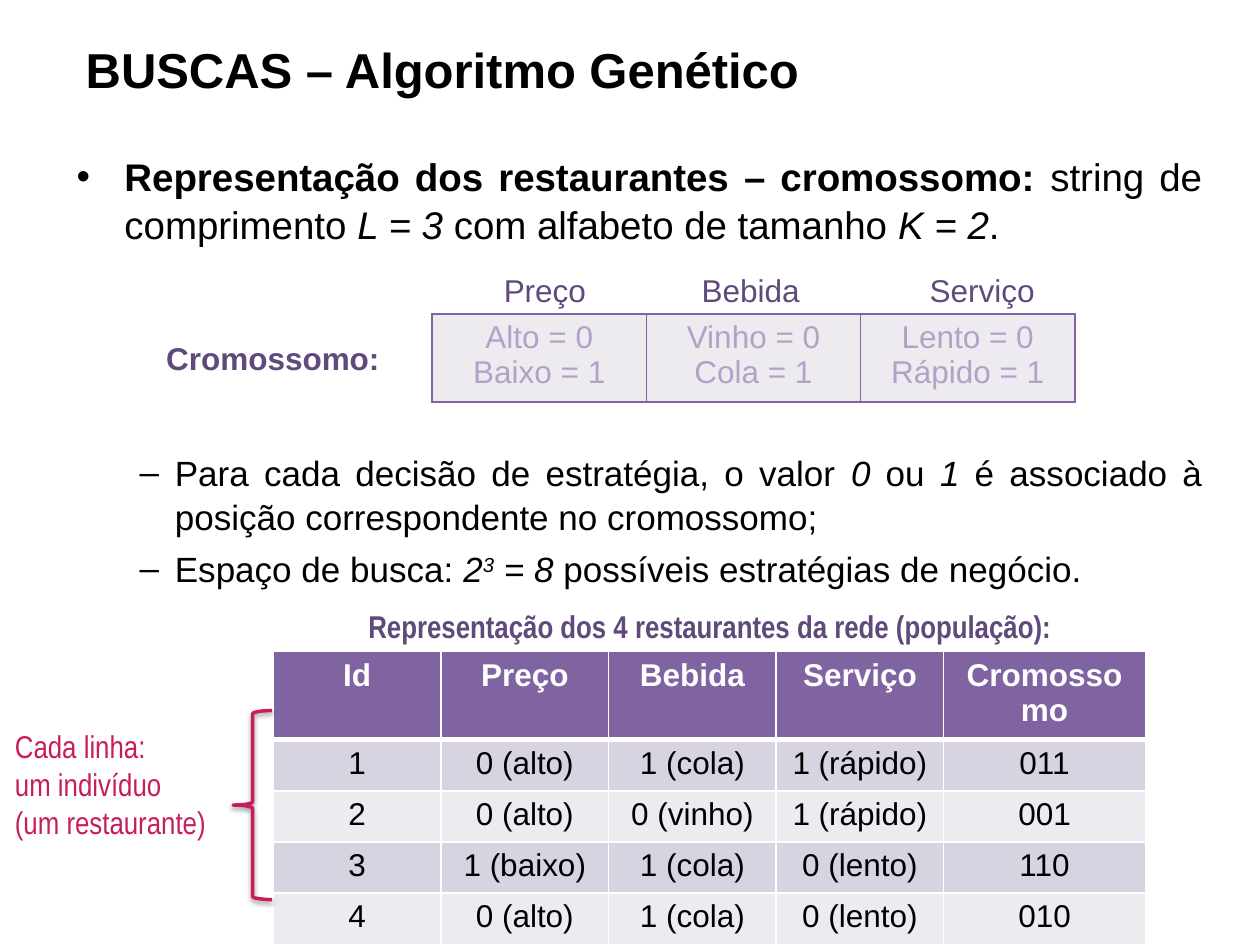
from lxml.etree import SubElement
from pptx import Presentation
from pptx.dml.color import RGBColor
from pptx.enum.shapes import MSO_SHAPE
from pptx.enum.text import MSO_ANCHOR, PP_ALIGN
from pptx.oxml.ns import qn
from pptx.util import Inches, Pt

BLACK, WHITE = "000000", "FFFFFF"
PURPLE, DARK_PURPLE, LILAC = "8064A2", "604A7B", "B3A2C7"
BAND_DARK, BAND_LIGHT = "D8D3E0", "EDEAF0"
PINK = "C81C5C"


def style(font, size, color, bold=False, name="Arial"):
    font.size, font.bold, font.name = Pt(size), bold, name
    font.color.rgb = RGBColor.from_string(color)


def fill_cell(cell, text, fill, color, border, bold=False, top=1, bottom=1):
    cell.text_frame.text = text
    for paragraph in cell.text_frame.paragraphs:
        paragraph.alignment = PP_ALIGN.CENTER
        for run in paragraph.runs:
            style(run.font, 18, color, bold)
    properties = cell._tc.get_or_add_tcPr()
    for side, width in (("L", 1), ("R", 1), ("T", top), ("B", bottom)):
        line = SubElement(properties, qn(f"a:ln{side}"), w=str(Pt(width)))
        solid = SubElement(line, qn("a:solidFill"))
        SubElement(solid, qn("a:srgbClr"), val=border)
    cell.fill.solid()
    cell.fill.fore_color.rgb = RGBColor.from_string(fill)


prs = Presentation()
prs.slide_width, prs.slide_height = Inches(10), Inches(7.5)
slide = prs.slides.add_slide(prs.slide_layouts[5])

# Title
title = slide.shapes.title
title.left, title.top = Inches(0.58), Inches(0.26)
title.width, title.height = Inches(9.37), Inches(0.57)
title.text_frame.text = "BUSCAS – Algoritmo Genético"
title.text_frame.vertical_anchor = MSO_ANCHOR.MIDDLE
title.text_frame.paragraphs[0].alignment = PP_ALIGN.LEFT
style(title.text_frame.paragraphs[0].runs[0].font, 28, BLACK, True)

# Body: level, bullet, margin, indent, size, space before, space after, runs
body = slide.shapes.add_textbox(Inches(0.51), Inches(1.15), Inches(9.13), Inches(3.55))
body.text_frame.word_wrap = True
points = [
    (0, "•", 0.38, -0.38, 22, 0, 0, [
        ("Representação dos restaurantes – cromossomo: ", "b"),
        ("string de comprimento ", ""), ("L = 3", "i"),
        (" com alfabeto de tamanho ", ""), ("K = 2", "i"), (".", "")]),
    (1, "–", 0.78, -0.28, 20, 116, 5, [
        ("Para cada decisão de estratégia, o valor ", ""), ("0", "i"),
        (" ou ", ""), ("1", "i"),
        (" é associado à posição correspondente no cromossomo;", "")]),
    (1, "–", 0.78, -0.28, 20, 0, 5, [
        ("Espaço de busca: ", ""), ("2", "i"), ("3", "i^"), (" = 8 ", "i"),
        ("possíveis estratégias de negócio.", "")]),
]
for number, (level, bullet, margin, indent, size, before, after, runs) in enumerate(points):
    paragraph = body.text_frame.paragraphs[0] if number == 0 else body.text_frame.add_paragraph()
    properties = paragraph._p.get_or_add_pPr()
    properties.set("marL", str(Inches(margin)))
    properties.set("indent", str(Inches(indent)))
    SubElement(properties, qn("a:buFont"), typeface="Arial")
    SubElement(properties, qn("a:buChar"), char=bullet)
    paragraph.level = level
    paragraph.alignment = PP_ALIGN.JUSTIFY
    paragraph.line_spacing = 1.04
    paragraph.space_before, paragraph.space_after = Pt(before), Pt(after)
    for text, marks in runs:
        run = paragraph.add_run()
        run.text = text
        style(run.font, size, BLACK, "b" in marks)
        run.font.italic = "i" in marks
        if "^" in marks:
            run.font._element.set("baseline", "30000")

# Chromosome table
genes = ["Alto = 0\nBaixo = 1", "Vinho = 0\nCola = 1", "Lento = 0\nRápido = 1"]
chromosome = slide.shapes.add_table(
    1, len(genes), Inches(3.43), Inches(2.49), Inches(5.1), Inches(0.7)).table
chromosome.first_row = chromosome.horz_banding = False
for cell, gene in zip(chromosome.rows[0].cells, genes):
    fill_cell(cell, gene, BAND_LIGHT, LILAC, PURPLE)

# Population table
population_rows = [
    ("Id", "Preço", "Bebida", "Serviço", "Cromossomo"),
    ("1", "0 (alto)", "1 (cola)", "1 (rápido)", "011"),
    ("2", "0 (alto)", "0 (vinho)", "1 (rápido)", "001"),
    ("3", "1 (baixo)", "1 (cola)", "0 (lento)", "110"),
    ("4", "0 (alto)", "1 (cola)", "0 (lento)", "010"),
]
population = slide.shapes.add_table(
    5, 5, Inches(2.17), Inches(5.17), Inches(6.93), Inches(2.03)).table
population.horz_banding = False
for column, width in zip(population.columns, [1.33] * 4 + [1.6]):
    column.width = Inches(width)
for index, values in enumerate(population_rows):
    for cell, value in zip(population.rows[index].cells, values):
        if index == 0:
            fill_cell(cell, value, PURPLE, WHITE, WHITE, bold=True, bottom=3)
        else:
            band = BAND_DARK if index % 2 else BAND_LIGHT
            fill_cell(cell, value, band, BLACK, WHITE, top=3 if index == 1 else 1)

# Labels: text, left, top, width, height, colour, bold, font, alignment, wrap
LEFT, CENTER = PP_ALIGN.LEFT, PP_ALIGN.CENTER
labels = [
    ("Cromossomo:", 1.22, 2.64, 1.91, 0.4, DARK_PURPLE, True, "Arial", LEFT, False),
    ("Preço", 3.9, 2.1, 0.86, 0.4, DARK_PURPLE, False, "Arial", LEFT, False),
    ("Bebida", 5.47, 2.1, 0.99, 0.4, DARK_PURPLE, False, "Arial", LEFT, False),
    ("Serviço", 7.28, 2.1, 1.04, 0.4, DARK_PURPLE, False, "Arial", LEFT, False),
    ("Representação dos 4 restaurantes da rede (população):",
     2.17, 4.77, 6.93, 0.4, DARK_PURPLE, True, "Arial Narrow", CENTER, True),
    ("Cada linha:\num indivíduo\n(um restaurante)",
     0.02, 5.72, 1.95, 1.01, PINK, False, "Arial Narrow", LEFT, True),
]
for text, left, top, width, height, color, bold, name, alignment, wrap in labels:
    label = slide.shapes.add_textbox(Inches(left), Inches(top), Inches(width), Inches(height))
    label.text_frame.word_wrap = wrap
    label.text_frame.text = text
    for paragraph in label.text_frame.paragraphs:
        paragraph.alignment = alignment
        style(paragraph.runs[0].font, 18, color, bold, name)

# Brace joining the individuals, with a soft shadow
brace = slide.shapes.add_shape(
    MSO_SHAPE.LEFT_BRACE, Inches(1.85), Inches(5.64), Inches(0.31), Inches(1.5))
brace.fill.background()
brace.line.color.rgb = RGBColor.from_string(PINK)
brace.line.width = Pt(2)
brace.shadow.inherit = False
effects = brace._element.spPr.find(qn("a:effectLst"))
shadow = SubElement(effects, qn("a:outerShdw"), blurRad=str(Pt(3.1)), dist=str(Pt(1.6)),
                    dir="5400000", rotWithShape="0")
shadow_color = SubElement(shadow, qn("a:srgbClr"), val=BLACK)
SubElement(shadow_color, qn("a:alpha"), val="38000")

prs.save("out.pptx")
